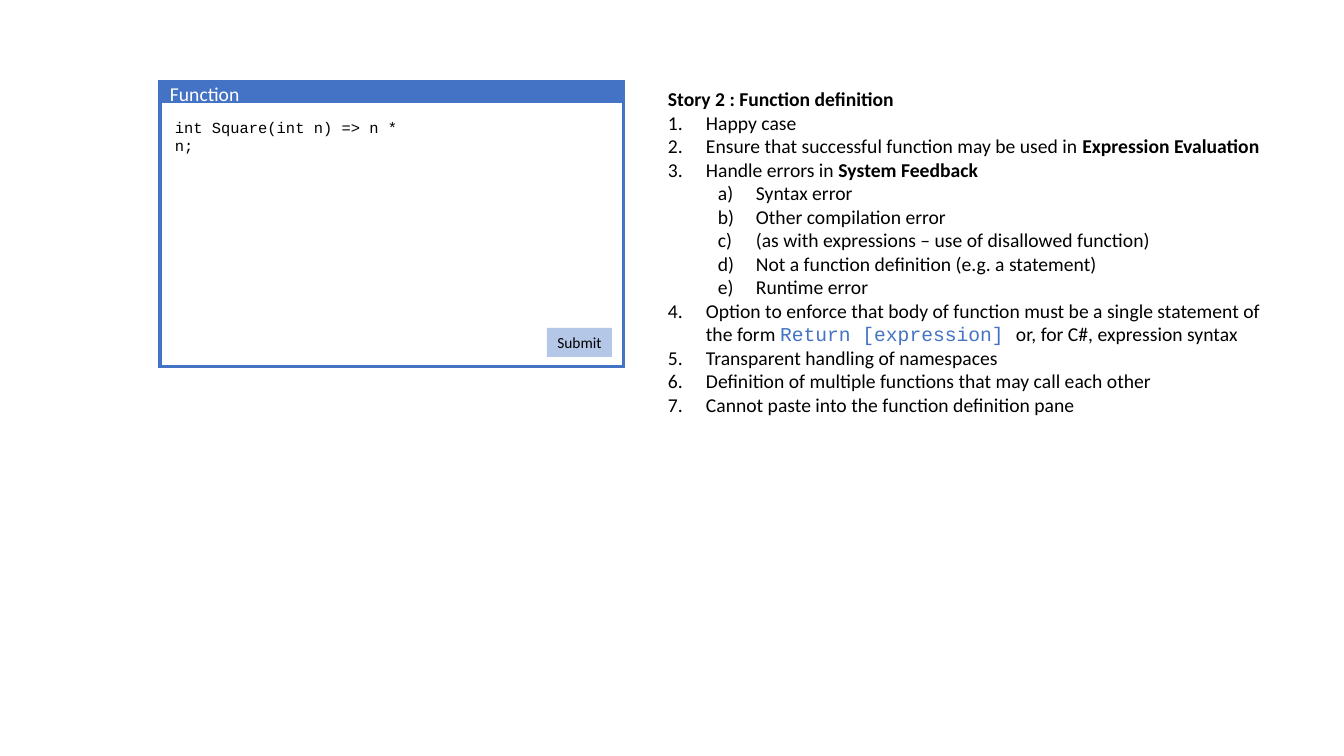
from lxml import etree
from pptx import Presentation
from pptx.dml.color import RGBColor
from pptx.enum.shapes import MSO_SHAPE
from pptx.enum.text import MSO_ANCHOR, PP_ALIGN
from pptx.oxml.ns import qn
from pptx.util import Pt

RECTANGLE = MSO_SHAPE.RECTANGLE
MIDDLE = MSO_ANCHOR.MIDDLE
CENTER = PP_ALIGN.CENTER
PX = 914400 / 100.8
HANGING = 38
NUMBERING = [("arabicPeriod", 38), ("alphaLcParenR", 88)]
COLORS = {"blue": "4472C4", "light": "B4C7E7", "white": "FFFFFF", "black": "000000"}


def add_rectangle(shapes, bounds, fill=None, line=None):
    box = shapes.add_shape(RECTANGLE, *[round(n * PX) for n in bounds])
    box.shadow.inherit = False
    if fill:
        box.fill.solid()
        box.fill.fore_color.rgb = RGBColor.from_string(COLORS[fill])
    else:
        box.fill.background()
    if line:
        box.line.color.rgb = RGBColor.from_string(COLORS[line])
        box.line.width = Pt(2.25)
        etree.SubElement(box.line._get_or_add_ln(), qn("a:miter"), lim="800000")
    else:
        box.line.fill.background()
    return box


def add_text(para, text, size=14, font="Calibri", color="black", bold=False):
    span = para.add_run()
    span.text = text
    span.font.size = Pt(size)
    span.font.name = font
    span.font.bold = bold
    span.font.color.rgb = RGBColor.from_string(COLORS[color])


deck = Presentation()
deck.slide_width = round(1344 * PX)
deck.slide_height = round(756 * PX)
page = deck.slides.add_slide(deck.slide_layouts[6])

# Function pane
pane = page.shapes.add_group_shape()
add_rectangle(pane.shapes, (160, 82, 464, 285), line="blue")
add_rectangle(pane.shapes, (160, 82, 464, 19), fill="blue", line="blue")
pane_texts = [
    ((160, 77, 165, 30), "Function", {"color": "white"}),
    ((165, 113, 249, 29), "int Square(int n) => n * n;", {"size": 11, "font": "Courier New"}),
]
for bounds, text, style in pane_texts:
    box = pane.shapes.add_textbox(*[round(n * PX) for n in bounds])
    box.text_frame.word_wrap = True
    add_text(box.text_frame.paragraphs[0], text, **style)

# Story: each line is its numbering level (None for the heading) and its spans
bold = {"bold": True}
code = {"font": "Courier New", "color": "blue"}
story_lines = [
    (None, [("Story 2 : Function definition", bold)]),
    (0, [("Happy case", {})]),
    (0, [("Ensure that successful function may be used in ", {}),
         ("Expression Evaluation", bold)]),
    (0, [("Handle errors in ", {}), ("System Feedback", bold)]),
    (1, [("Syntax error", {})]),
    (1, [("Other compilation error", {})]),
    (1, [("(as with expressions – use of disallowed function)", {})]),
    (1, [("Not a function definition (e.g. a statement)", {})]),
    (1, [("Runtime error", {})]),
    (0, [("Option to enforce that body of function must be a single statement of the form ", {}),
         ("Return [expression] ", code),
         ("or, for C#, expression syntax", {})]),
    (0, [("Transparent handling of namespaces", {})]),
    (0, [("Definition of multiple functions that may call each other", {})]),
    (0, [("Cannot paste into the function definition pane", {})]),
]
story = page.shapes.add_textbox(*[round(n * PX) for n in (658, 82, 625, 343)])
story.text_frame.word_wrap = True
for index, (level, spans) in enumerate(story_lines):
    para = story.text_frame.add_paragraph() if index else story.text_frame.paragraphs[0]
    if level is not None:
        scheme, margin = NUMBERING[level]
        para.level = level
        properties = para._p.get_or_add_pPr()
        properties.set("marL", str(round(margin * PX)))
        properties.set("indent", str(round(-HANGING * PX)))
        etree.SubElement(properties, qn("a:buFont"), typeface="+mj-lt")
        etree.SubElement(properties, qn("a:buAutoNum"), type=scheme)
    for text, style in spans:
        add_text(para, text, **style)

# Submit button
button = add_rectangle(page.shapes, (547, 328, 65, 29), fill="light")
button.text_frame.word_wrap = False
button.text_frame.vertical_anchor = MIDDLE
label = button.text_frame.paragraphs[0]
label.alignment = CENTER
add_text(label, "Submit", size=11)

deck.save("out.pptx")
